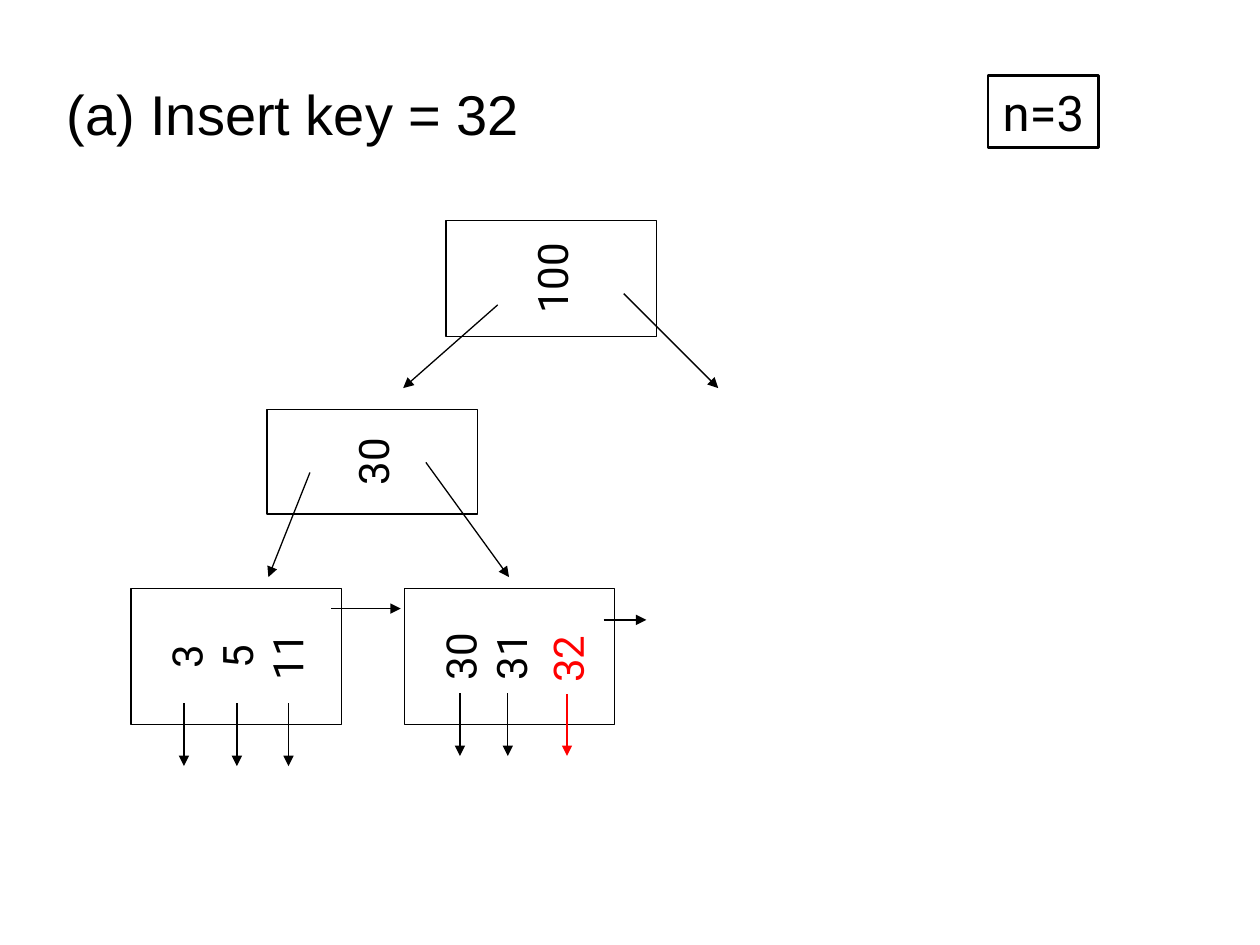
import dataclasses

import pptx
import pptx.dml.color
import pptx.enum.shapes
import pptx.enum.text
import pptx.oxml
import pptx.oxml.ns
import pptx.util

Inches = pptx.util.Inches
Align = pptx.enum.text.PP_ALIGN
Anchor = pptx.enum.text.MSO_ANCHOR


@dataclasses.dataclass(frozen=True)
class Theme:
    ink: str = "000000"
    paper: str = "FFFFFF"
    added: str = "FF0000"
    title_font: str = "Arial"
    key_font: str = "Roboto"
    title_size: int = 32
    note_size: int = 28
    key_size: int = 24
    thin: float = 0.75
    thick: float = 1.5


THEME = Theme()
NODE_WIDTH = 1.67
KEY_LINE = 0.39
POINTER_LENGTH = 0.5


def rgb(value):
    return pptx.dml.color.RGBColor.from_string(value)


def write_lines(shape, lines, size, font, color=THEME.ink, align=Align.CENTER, **frame_format):
    frame = shape.text_frame
    frame_values = {"word_wrap": False, "vertical_anchor": Anchor.MIDDLE, **frame_format}
    for name, value in frame_values.items():
        setattr(frame, name, value)
    for index, line in enumerate(lines):
        para = frame.paragraphs[0] if index == 0 else frame.add_paragraph()
        para.alignment = align
        span = para.add_run()
        span.text = line
        for name, value in {"size": pptx.util.Pt(size), "name": font}.items():
            setattr(span.font, name, value)
        span.font.color.rgb = rgb(color)


def add_box(page, box, line_width, fill=None):
    shape = page.shapes.add_shape(
        pptx.enum.shapes.MSO_SHAPE.RECTANGLE, *map(Inches, box))
    shape.shadow.inherit = False
    if fill:
        shape.fill.solid()
        shape.fill.fore_color.rgb = rgb(fill)
    else:
        shape.fill.background()
    shape.line.color.rgb = rgb(THEME.ink)
    shape.line.width = pptx.util.Pt(line_width)
    return shape


def add_arrow(page, origin, start, end, color=THEME.ink):
    """Draw an arrow between two points measured from origin."""
    points = [Inches(base + step) for point in (start, end) for base, step in zip(origin, point)]
    arrow = page.shapes.add_connector(pptx.enum.shapes.MSO_CONNECTOR.STRAIGHT, *points)
    arrow.line.color.rgb = rgb(color)
    arrow.line.width = pptx.util.Pt(THEME.thin)
    namespace = pptx.oxml.ns.nsdecls("a")
    arrow.line._get_or_add_ln().append(
        pptx.oxml.parse_xml(f'<a:tailEnd {namespace} type="triangle"/>'))
    arrow._element.spPr.append(pptx.oxml.parse_xml(f"<a:effectLst {namespace}/>"))


def turned(box):
    """Return the frame that covers box once rotated by a quarter turn."""
    left, top, width, height = box
    shift = (width - height) / 2
    return left + shift, top - shift, height, width


def add_node(page, box, keys, arrows, spare_lines=0):
    """Draw a tree node with sideways keys and arrows measured from its corner."""
    node = add_box(page, turned(box), THEME.thin, THEME.paper)
    node.rotation = 270
    write_lines(node, keys, THEME.key_size, THEME.key_font,
                margin_bottom=Inches(0.05 + spare_lines * KEY_LINE))
    for start, end in arrows:
        add_arrow(page, box[:2], start, end)


def add_leaf(page, box, keys, pointer_xs, pointer_y, sibling, spare_lines=0):
    pointers = [((x, pointer_y), (x, pointer_y + POINTER_LENGTH)) for x in pointer_xs]
    add_node(page, box, keys, [sibling, *pointers], spare_lines)


def add_inserted_key(page, box, key):
    left, top, width, height = box
    label = page.shapes.add_textbox(*map(Inches, turned(box)))
    label.rotation = 270
    write_lines(label, [key], THEME.key_size, THEME.key_font, THEME.added)
    add_arrow(page, (left + width / 2, top + height), (0, -0.01), (0, 0.48), THEME.added)


def add_header(page, box):
    left, top, width, height = box
    title = page.shapes.add_textbox(*map(Inches, box))
    write_lines(title, ["(a) Insert key = 32"], THEME.title_size, THEME.title_font,
                align=Align.LEFT, word_wrap=True, vertical_anchor=Anchor.TOP)
    order = add_box(page, (left + 7.41, top + 0.02, 0.88, 0.57), THEME.thick)
    write_lines(order, ["n=3"], THEME.note_size, THEME.key_font)


def add_tree(page, box):
    left, top = box[:2]

    def place(x, y, height):
        return left + x, top + y, NODE_WIDTH, height

    add_leaf(page, place(0, 2.92, 1.08), ["3", "5", "11"],
             (0.42, 0.84, 1.25), 0.91, ((1.59, 0.16), (2.14, 0.16)))
    add_leaf(page, place(2.17, 2.92, 1.08), ["30", "31"],
             (0.44, 0.82), 0.83, ((1.58, 0.25), (1.92, 0.25)), spare_lines=1)
    add_node(page, place(1.08, 1.5, 0.83), ["30"],
             [((0.34, 0.5), (0.01, 1.33)), ((1.26, 0.42), (1.92, 1.33))])
    add_node(page, place(2.5, 0, 0.92), ["100"],
             [((0.41, 0.67), (-0.34, 1.33)), ((1.41, 0.58), (2.16, 1.33))])
    add_inserted_key(page, (left + 3.21, top + 3.19, 0.5, 0.58), "32")


def main():
    deck = pptx.Presentation()
    deck.slide_width, deck.slide_height = Inches(10), Inches(7.5)
    page = deck.slides.add_slide(deck.slide_layouts[6])
    add_header(page, (0.43, 0.58, 8.5, 0.65))
    add_tree(page, (1.04, 1.75, 4.67, 4.33))
    deck.save("out.pptx")


if __name__ == "__main__":
    main()
